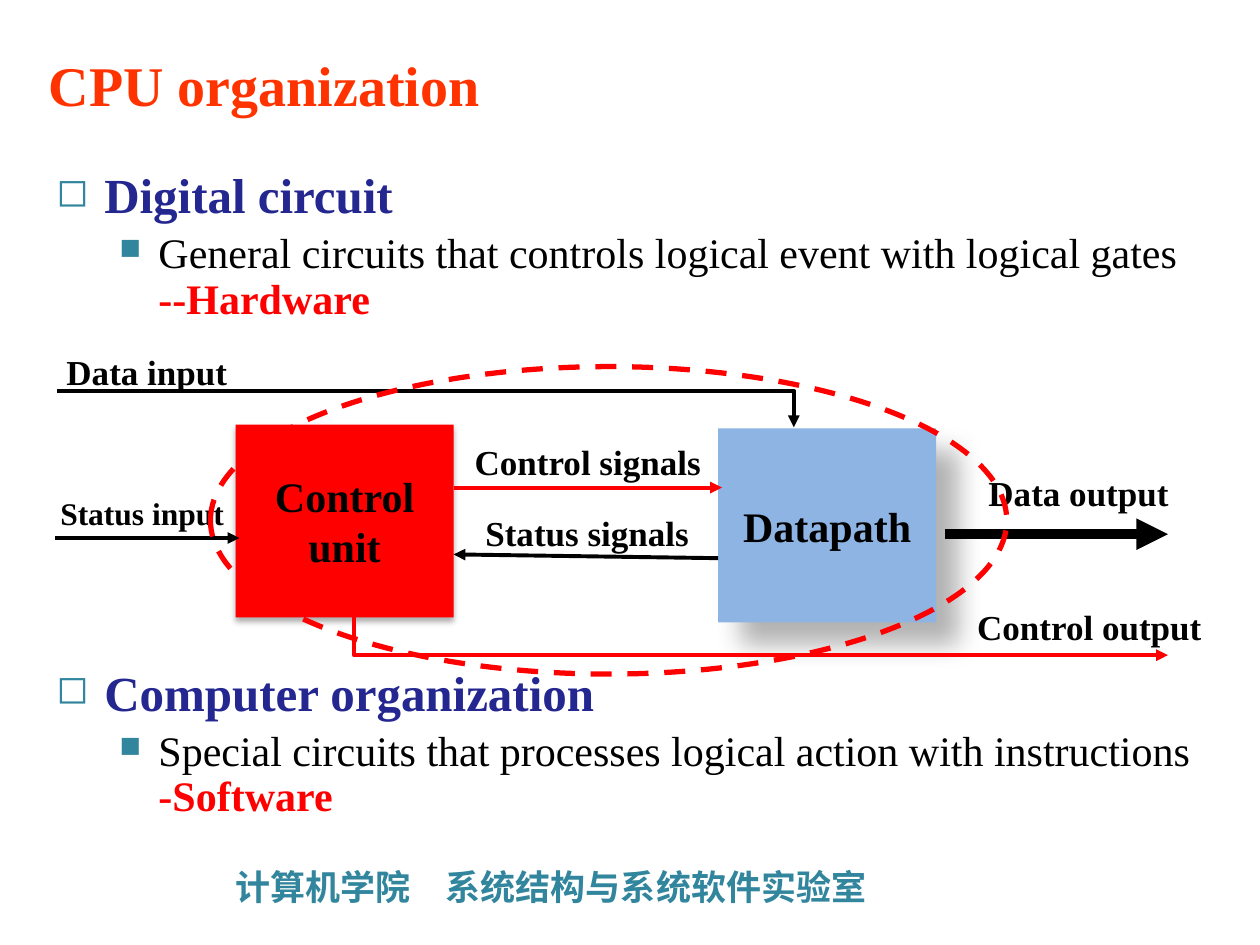
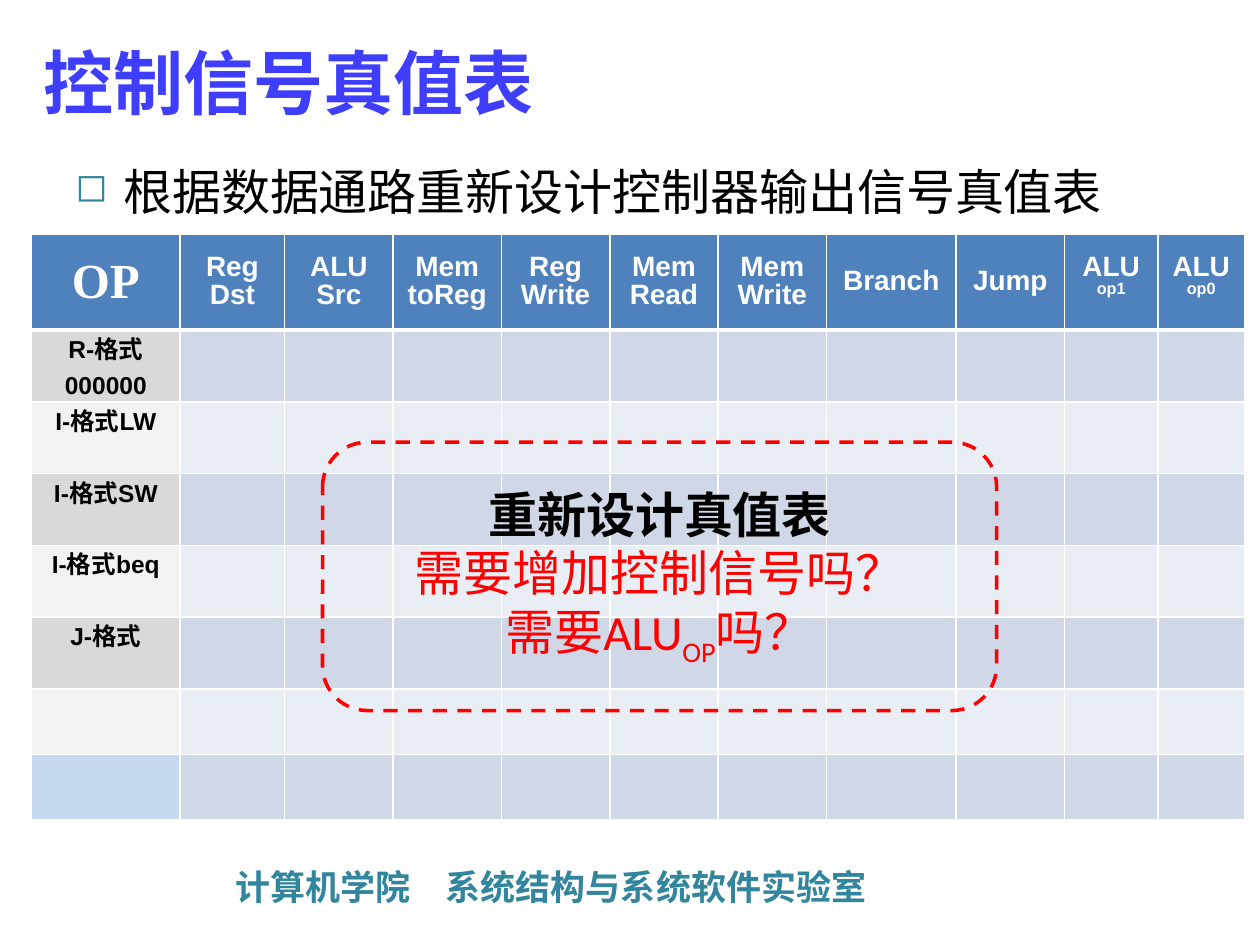
from dataclasses import dataclass, replace

from lxml import etree
from pptx import Presentation
from pptx.dml.color import RGBColor
from pptx.enum.dml import MSO_LINE
from pptx.enum.shapes import MSO_CONNECTOR, MSO_SHAPE
from pptx.enum.text import MSO_ANCHOR, PP_ALIGN
from pptx.oxml.ns import qn
from pptx.util import Inches, Pt

CENTER, LEFT = PP_ALIGN.CENTER, PP_ALIGN.LEFT
TOP, MIDDLE = MSO_ANCHOR.TOP, MSO_ANCHOR.MIDDLE
RECT, OVAL, ROUNDED = MSO_SHAPE.RECTANGLE, MSO_SHAPE.OVAL, MSO_SHAPE.ROUNDED_RECTANGLE
STRAIGHT, DASH = MSO_CONNECTOR.STRAIGHT, MSO_LINE.DASH

SERIF, SANS, BODY, CJK = "Times New Roman", "Arial", "Calibri", "Noto Sans CJK SC"
BLACK, WHITE, RED, TEAL = "000000", "FFFFFF", "FF0000", "31859C"
NAVY, ORANGE, VIOLET, LIGHT_BLUE = "242790", "FF3300", "3E3EFC", "8EB4E3"
HEADER_BLUE, LAST_BLUE = "4F81BD", "C6D9F1"
BANDS = ("D0D8E8", "E9EDF4")
LABEL_BANDS = ("D9D9D9", "F2F2F2")


@dataclass(frozen=True)
class Style:
    size: float
    color: str = BLACK
    bold: bool = True
    font: str = SERIF
    baseline: int = 0


FOOTER = Style(20, TEAL, font=CJK)
HEADING = Style(28, NAVY)
DETAIL = Style(24, bold=False)
EMPHASIS = Style(24, RED)
BLOCK = Style(24)
LABEL = Style(20)
COLUMN = Style(16, WHITE, font=SANS)
ROW = Style(14, font=SANS)
NOTE = Style(28, font=BODY)
QUESTION = replace(NOTE, color=RED, bold=False)


def rgb(color):
    return RGBColor.from_string(color)


def child(parent, tag, **attributes):
    return etree.SubElement(parent, qn(tag), attributes)


def colored(parent, tag, color):
    return child(child(parent, tag), "a:srgbClr", val=color)


def format_run(run, style):
    font = run.font
    font.size, font.bold, font.name = Pt(style.size), style.bold, style.font
    font.color.rgb = rgb(style.color)
    properties = run._r.get_or_add_rPr()
    child(properties, "a:ea", typeface=CJK)
    if style.baseline:
        properties.set("baseline", str(style.baseline * 1000))


def write(frame, paragraphs, align=LEFT, anchor=TOP):
    frame.vertical_anchor = anchor
    for index, spans in enumerate(paragraphs):
        para = frame.add_paragraph() if index else frame.paragraphs[0]
        para.alignment = align
        for position, (text, style) in enumerate(spans):
            if position:
                para.add_run().text = text
            else:
                para.text = text
            for run in para.runs[position:]:
                format_run(run, style)
    return frame


def add_text(page, at, paragraphs, align=LEFT, anchor=TOP, wrap=True):
    box = page.shapes.add_textbox(*map(Inches, at))
    box.text_frame.word_wrap = wrap
    return write(box.text_frame, paragraphs, align, anchor)


def add_bullet(para, level):
    char, size, margin, indent = (("\u25fb", 80, 0.38, 0.38), ("\u25a0", 70, 0.81, 0.31))[level]
    para.level = level
    properties = para._p.get_or_add_pPr()
    properties.set("marL", str(Inches(margin)))
    properties.set("indent", str(-Inches(indent)))
    colored(properties, "a:buClr", TEAL)
    child(properties, "a:buSzPct", val=str(size * 1000))
    child(properties, "a:buChar", char=char)


def add_topic(page, at, heading, detail, emphasis):
    frame = add_text(page, at, [[(heading, HEADING)], [(detail, DETAIL), (emphasis, EMPHASIS)]])
    for level, para in enumerate(frame.paragraphs):
        para.line_spacing = 0.9
        para.space_before = Pt(4.8 * level)
        add_bullet(para, level)


def add_title(page, at, text, size, color):
    add_text(page, at, [[(text, Style(size, color))]], anchor=MIDDLE)


def add_page(deck):
    page = deck.slides.add_slide(deck.slide_layouts[6])
    add_text(page, (1.77, 6.82, 7.24, 0.44), [[("计算机学院\u3000系统结构与系统软件实验室", FOOTER)]])
    return page


def add_shape(page, kind, at):
    shape = page.shapes.add_shape(kind, *map(Inches, at))
    shape.shadow.inherit = False
    return shape


def add_block(page, at, text, color, blur, distance, angle, alpha):
    block = add_shape(page, RECT, at)
    block.fill.solid()
    block.fill.fore_color.rgb = rgb(color)
    block.line.fill.background()
    effects = block._element.spPr.find(qn("a:effectLst"))
    shadow = child(effects, "a:outerShdw", blurRad=str(Pt(blur)), dist=str(Pt(distance)),
                   dir=str(angle * 60000), algn="tl", rotWithShape="0")
    child(colored_value(shadow), "a:alpha", val=str(alpha * 1000))
    write(block.text_frame, [[(text, BLOCK)]], CENTER, MIDDLE)


def colored_value(parent):
    return child(parent, "a:srgbClr", val=BLACK)


def add_dashed(page, kind, at, width):
    outline = add_shape(page, kind, at)
    outline.fill.background()
    outline.line.color.rgb = rgb(RED)
    outline.line.width = Pt(width)
    outline.line.dash_style = DASH
    return outline


def point_arrow(shape, color, width):
    shape.line.color.rgb = rgb(color)
    shape.line.width = Pt(width)
    properties = shape._element.spPr
    child(properties.find(qn("a:ln")), "a:tailEnd", type="triangle")


def add_arrow(page, start, end, color=BLACK, width=2.25):
    arrow = page.shapes.add_connector(STRAIGHT, *map(Inches, start + end))
    point_arrow(arrow, color, width)
    child(arrow._element.spPr, "a:effectLst")


def add_bent_arrow(page, points, color):
    start, *rest = [tuple(map(Inches, point)) for point in points]
    builder = page.shapes.build_freeform(*start)
    builder.add_line_segments(rest, close=False)
    arrow = builder.convert_to_shape()
    arrow.shadow.inherit = False
    arrow.fill.background()
    point_arrow(arrow, color, 2.25)


def style_cell(cell, fill, bottom=1):
    properties = cell._tc.get_or_add_tcPr()
    for side, width in (("L", 1), ("R", 1), ("T", 1), ("B", bottom)):
        border = child(properties, f"a:ln{side}", w=str(Pt(width)))
        colored(border, "a:solidFill", WHITE)
    cell.fill.solid()
    cell.fill.fore_color.rgb = rgb(fill)
    cell.margin_left = cell.margin_right = cell.margin_top = cell.margin_bottom = 0


def fill_header(table):
    names = ("OP", "Reg Dst", "ALU Src", "Mem toReg", "Reg Write", "Mem Read",
             "Mem Write", "Branch", "Jump", "ALU op1", "ALU op0")
    for column, name in enumerate(names):
        cell = table.cell(0, column)
        style_cell(cell, HEADER_BLUE, 3)
        style = COLUMN if column else Style(28, WHITE)
        lowered = replace(COLUMN, baseline=-25)
        lines = [[(word, lowered if word.startswith("op") else style)] for word in name.split()]
        write(cell.text_frame, lines, CENTER)
        cell.vertical_anchor = MIDDLE
        if column:
            for para in cell.text_frame.paragraphs:
                para.line_spacing = Pt(9 if "op" in name else 16)


def add_truth_table(page):
    widths = (1.18, 0.83, *[0.86] * 5, 1.03, 0.86, 0.74, 0.69)
    heights = (0.76, *[0.57] * 5, 0.52, 0.52)
    labels = (("R-格式", "000000"), ("I-格式LW",), ("I-格式SW",), ("I-格式beq",), ("J-格式",), (), ())
    at = (0.25, 1.86, sum(widths), sum(heights))
    table = page.shapes.add_table(len(heights), len(widths), *map(Inches, at)).table
    for column, width in zip(table.columns, widths):
        column.width = Inches(width)
    for row, height in zip(table.rows, heights):
        row.height = Inches(height)
    fill_header(table)
    for index, label in enumerate(labels):
        band = index % 2
        first = LAST_BLUE if index == len(labels) - 1 else LABEL_BANDS[band]
        for column in range(len(widths)):
            style_cell(table.cell(index + 1, column), BANDS[band] if column else first)
        cell = table.cell(index + 1, 0)
        write(cell.text_frame, [[(line, ROW)] for line in label], CENTER)
        for para in cell.text_frame.paragraphs:
            para.space_before = Pt(3.9)


def build_organization(deck):
    page = add_page(deck)
    add_title(page, (0.29, 0.31, 9.34, 0.72), "CPU organization", 32, ORANGE)
    add_topic(page, (0.35, 1.31, 9.34, 1.4), "Digital circuit",
              "General circuits that controls logical event with logical gates ", "--Hardware")
    add_topic(page, (0.35, 5.26, 9.34, 1.4), "Computer organization",
              "Special circuits that processes logical action with instructions ", "-Software")
    add_block(page, (1.87, 3.37, 1.73, 1.53), "Control\vunit", RED, 3.5, 2.2, 90, 32)
    add_block(page, (5.7, 3.4, 1.73, 1.54), "Datapath", LIGHT_BLUE, 15, 18, 45, 30)
    add_arrow(page, (3.6, 3.87), (5.73, 3.87), RED)
    add_arrow(page, (5.7, 4.43), (3.6, 4.4))
    add_arrow(page, (7.5, 4.24), (9.27, 4.24), width=6)
    add_arrow(page, (0.44, 4.27), (1.9, 4.27))
    add_bent_arrow(page, ((2.81, 4.9), (2.81, 5.2), (9.27, 5.2)), RED)
    add_bent_arrow(page, ((0.45, 3.1), (6.3, 3.1), (6.3, 3.39)), BLACK)
    for text, at in (
        ("Control signals", (3.6, 3.45, 2.13, 0.43)),
        ("Status signals", (3.7, 4.01, 1.92, 0.43)),
        ("Control output", (7.64, 4.76, 2.01, 0.44)),
        ("Data input", (0.22, 2.73, 1.89, 0.44)),
        ("Data output", (7.45, 3.69, 2.22, 0.44)),
    ):
        add_text(page, at, [[(text, LABEL)]], CENTER)
    add_text(page, (0.38, 3.87, 1.51, 0.4), [[("Status input", Style(18))]], wrap=False)
    add_dashed(page, OVAL, (1.67, 2.91, 6.32, 2.44), 3)


def build_truth_table(deck):
    page = add_page(deck)
    add_title(page, (0.25, 0.13, 8.61, 1.04), "控制信号真值表", 40, VIOLET)
    add_truth_table(page)
    frame = add_text(page, (0.5, 1.23, 9, 0.6),
                     [[("根据数据通路重新设计控制器输出信号真值表", Style(28, bold=False))]])
    add_bullet(frame.paragraphs[0], 0)
    callout = add_dashed(page, ROUNDED, (2.56, 3.51, 5.35, 2.13), 2)
    write(callout.text_frame, [
        [("重新设计真值表", NOTE)],
        [("需要增加控制信号吗？", QUESTION)],
        [("需要ALU", QUESTION), ("OP", replace(QUESTION, baseline=-25)), ("吗？", QUESTION)],
    ], CENTER, MIDDLE)


def main():
    deck = Presentation()
    deck.slide_width, deck.slide_height = Inches(10), Inches(7.5)
    build_organization(deck)
    build_truth_table(deck)
    deck.save("out.pptx")


main()
